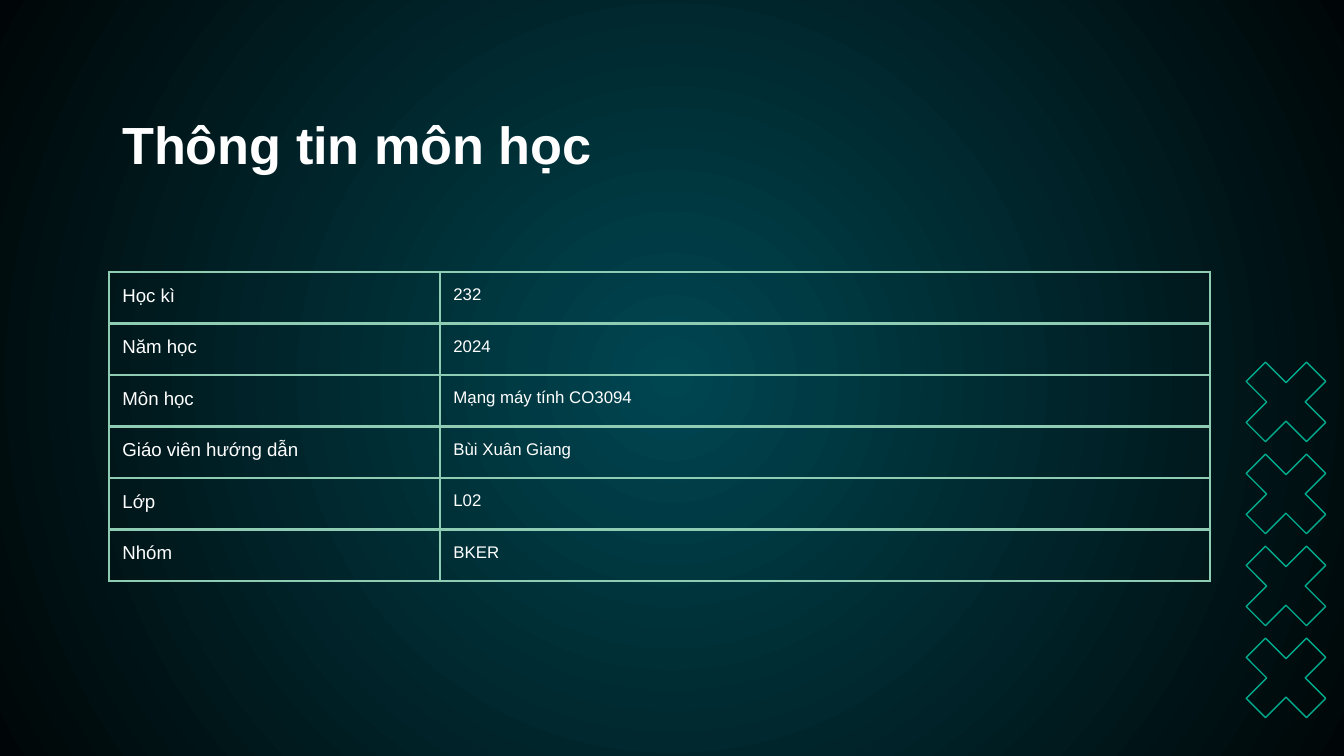
"""Build the course information slide."""
import pptx
import pptx.dml.color
import pptx.enum.shapes
import pptx.oxml
import pptx.oxml.ns
import pptx.util

TITLE = "Thông tin môn học"
COURSE_ROWS = [
    ("Học kì", "232"),
    ("Năm học", "2024"),
    ("Môn học", "Mạng máy tính CO3094"),
    ("Giáo viên hướng dẫn", "Bùi Xuân Giang"),
    ("Lớp", "L02"),
    ("Nhóm", "BKER"),
]
BACKGROUND = ["004651", "000607"]
WHITE = "FFFFFF"
CROSS_GREEN = "00AB8D"
BORDER_GREEN = "8ECDB4"
FONT = "Arial"

SLIDE_SIZE = (1344, 756)
TITLE_BOX = (109, 99, 1134, 85)
TABLE_BOX = (109, 272, 1101, 309)
COLUMN_WIDTHS = (331, 770)
CROSS_LEFT, CROSS_TOP, CROSS_SIZE, CROSS_PITCH, CROSS_COUNT = 1228, 344, 116, 92, 4
PX_PER_INCH = 134.4
INSET = pptx.util.Inches(0.1)
NAMESPACE = pptx.oxml.ns.nsdecls("a")


def px(length):
    return pptx.util.Inches(length / PX_PER_INCH)


def color(value):
    return pptx.dml.color.RGBColor.from_string(value)


def set_insets(holder):
    holder.margin_left = holder.margin_right = INSET
    holder.margin_top = holder.margin_bottom = INSET


def write(text_frame, text, size, bold=False):
    text_frame.text = text
    font = text_frame.paragraphs[0].runs[0].font
    font.name = FONT
    font.size = pptx.util.Pt(size)
    font.bold = bold
    font.color.rgb = color(WHITE)


def paint_background(slide):
    fill = slide.background.fill
    fill.gradient()
    for stop, value, position in zip(fill.gradient_stops, BACKGROUND, (0, 1)):
        stop.color.rgb = color(value)
        stop.position = position
    linear = slide.element.find(".//" + pptx.oxml.ns.qn("a:lin"))
    radial = pptx.oxml.parse_xml(
        f'<a:path {NAMESPACE} path="circle">'
        '<a:fillToRect l="50000" t="50000" r="50000" b="50000"/></a:path>')
    linear.getparent().replace(linear, radial)


def add_crosses(slide):
    for index in range(CROSS_COUNT):
        cross = slide.shapes.add_shape(
            pptx.enum.shapes.MSO_SHAPE.MATH_MULTIPLY,
            px(CROSS_LEFT), px(CROSS_TOP + index * CROSS_PITCH),
            px(CROSS_SIZE), px(CROSS_SIZE))
        cross.adjustments[0] = 0.235
        cross.shadow.inherit = False
        cross.fill.background()
        cross.line.color.rgb = color(CROSS_GREEN)
        cross.line.width = pptx.util.Pt(0.75)


def add_borders(cell):
    properties = cell._tc.get_or_add_tcPr()
    for position, side in enumerate(("lnL", "lnR", "lnT", "lnB")):
        properties.insert(position, pptx.oxml.parse_xml(
            f'<a:{side} {NAMESPACE} w="{pptx.util.Pt(1.5)}"><a:solidFill>'
            f'<a:srgbClr val="{BORDER_GREEN}"/></a:solidFill></a:{side}>'))


def add_course_table(slide):
    table = slide.shapes.add_table(
        len(COURSE_ROWS), len(COLUMN_WIDTHS), *map(px, TABLE_BOX)).table
    table.first_row = table.horz_banding = False
    for column, width in zip(table.columns, COLUMN_WIDTHS):
        column.width = px(width)
    for row, (label, value) in zip(table.rows, COURSE_ROWS):
        label_cell, value_cell = row.cells
        write(label_cell.text_frame, label, 10)
        write(value_cell.text_frame, value, 9)
        value_cell.text_frame.paragraphs[0].space_after = pptx.util.Pt(16)
        for cell in (label_cell, value_cell):
            set_insets(cell)
            cell.fill.background()
            add_borders(cell)


def add_title(slide):
    text_frame = slide.shapes.add_textbox(*map(px, TITLE_BOX)).text_frame
    text_frame.word_wrap = True
    set_insets(text_frame)
    write(text_frame, TITLE, 28, bold=True)


def main():
    presentation = pptx.Presentation()
    presentation.slide_width, presentation.slide_height = map(px, SLIDE_SIZE)
    slide = presentation.slides.add_slide(presentation.slide_layouts[6])
    paint_background(slide)
    add_crosses(slide)
    add_course_table(slide)
    add_title(slide)
    presentation.save("out.pptx")


if __name__ == "__main__":
    main()
